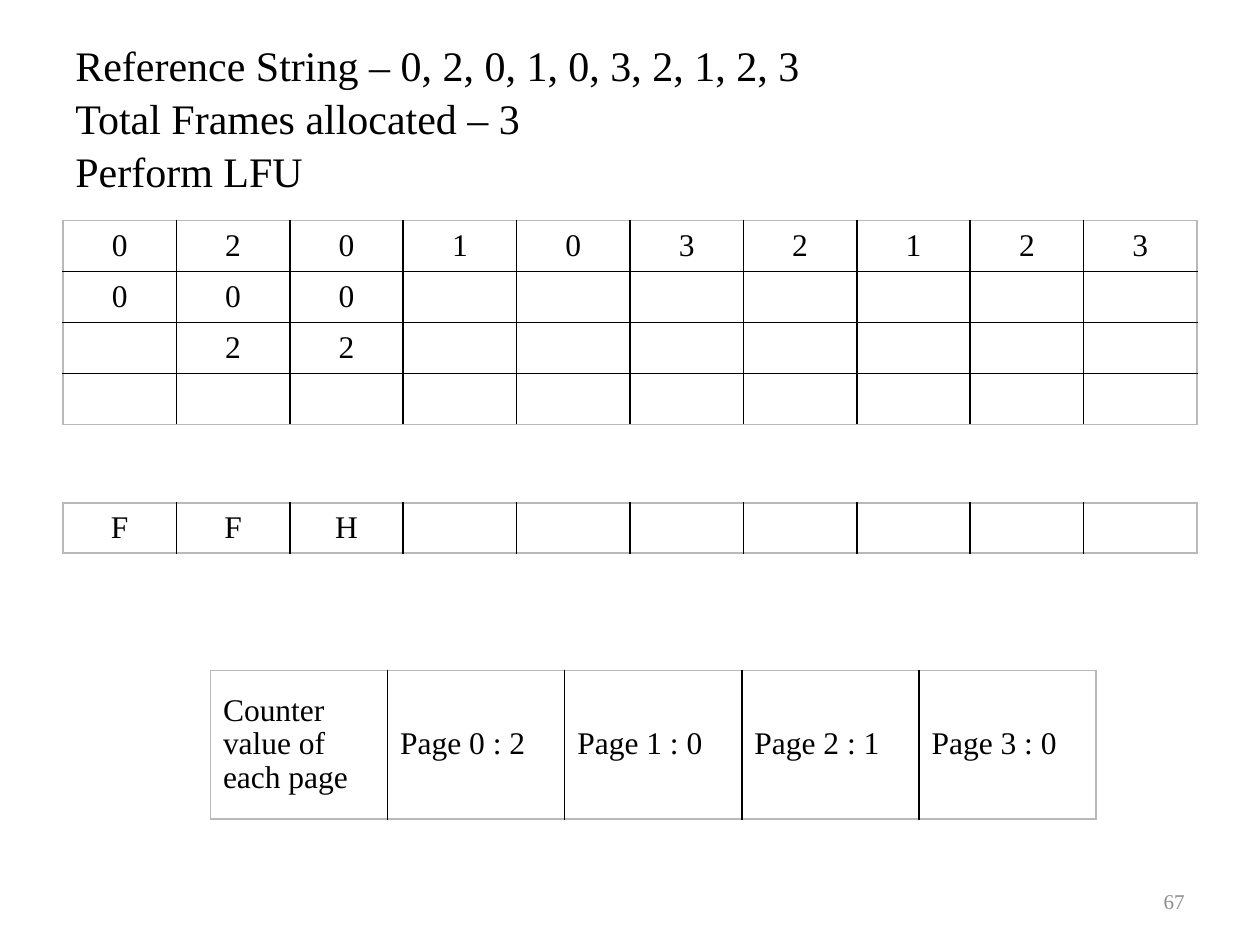
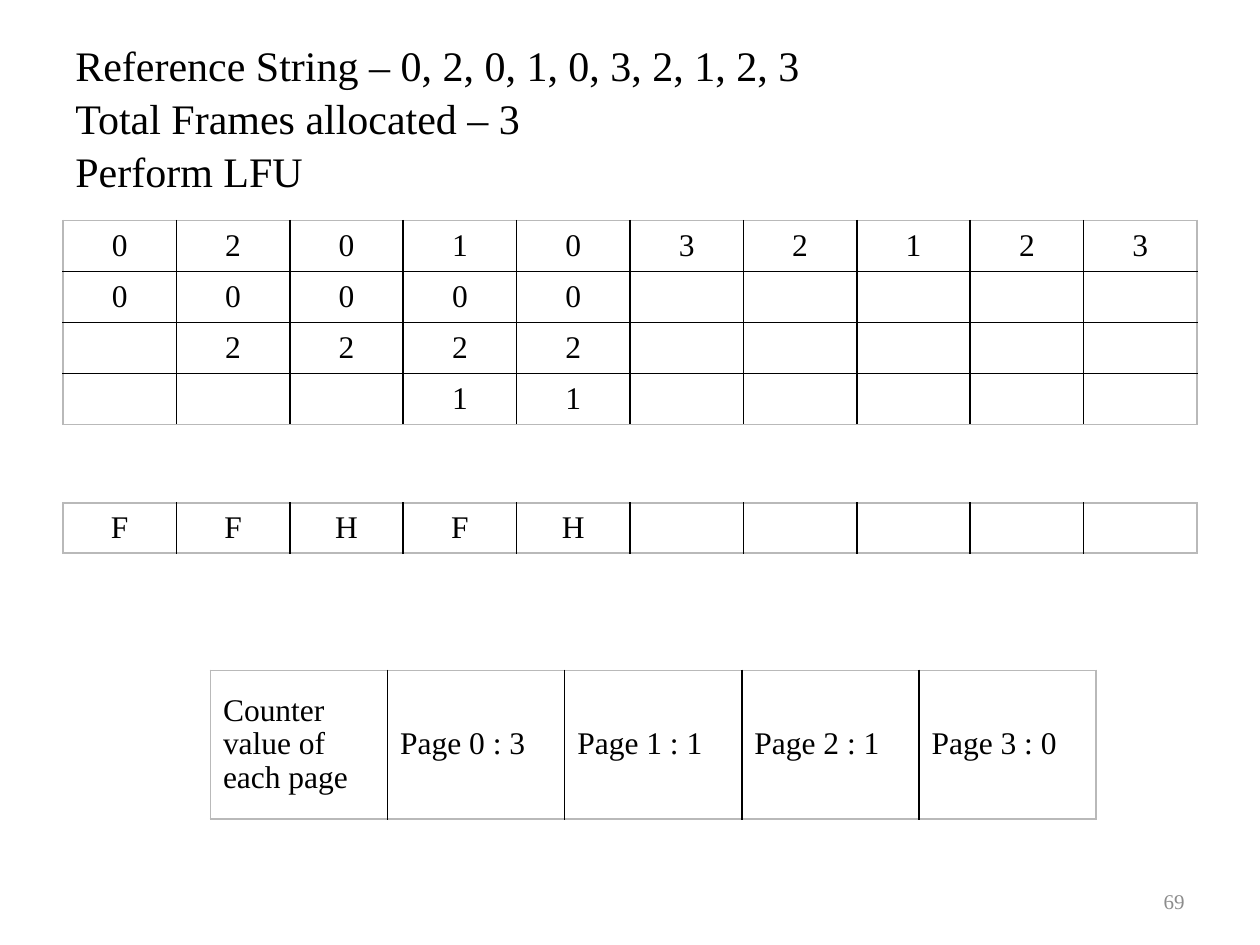
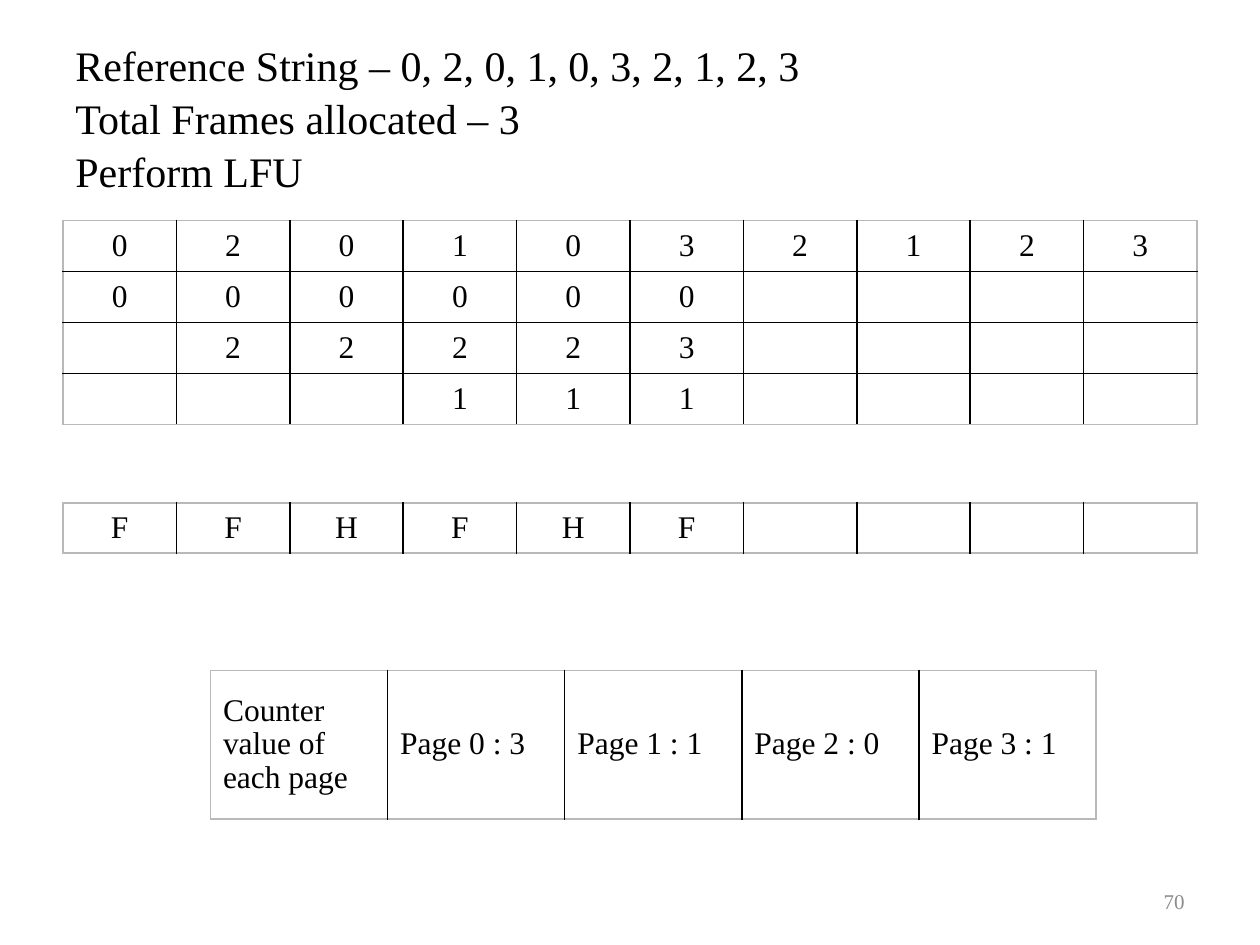
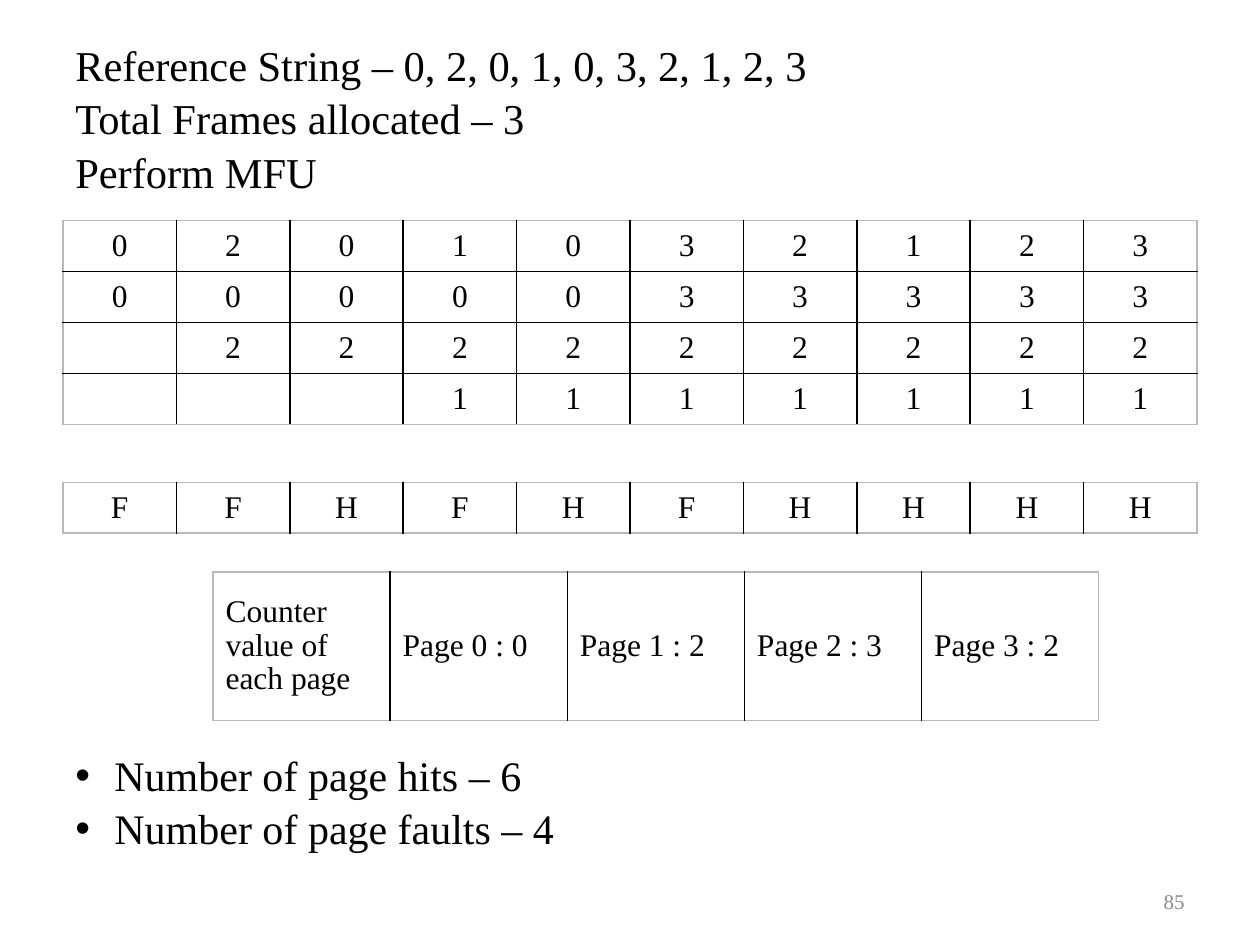
import pptx
import pptx.dml.color
import pptx.enum.text
import pptx.oxml
import pptx.oxml.ns
import pptx.util
from pptx.util import Inches

BLACK = "000000"
GREY = "8C8C8C"
OUTLINE = "B9B9B9"
ALIGN = pptx.enum.text.PP_ALIGN
MIDDLE = pptx.enum.text.MSO_ANCHOR.MIDDLE

REFERENCES = "0201032123"
PAGES = [
    {"number": 67, "method": "LFU", "steps": 3, "counters": "2010"},
    {"number": 69, "method": "LFU", "steps": 5, "counters": "3110"},
    {"number": 70, "method": "LFU", "steps": 6, "counters": "3101"},
    {"number": 85, "method": "MFU", "steps": 10, "counters": "0232", "title_size": 24.3,
     "hits_top": 3.83, "counter_left": 1.69, "counter_top": 4.54,
     "summary": ["Number of page hits – 6", "Number of page faults – 4"]},
]
FRAMES = {
    "LFU": ["000000", " 22223", "   111"],
    "MFU": ["0000033333", " 222222222", "   1111111"],
}
HITS = {"LFU": "FFHFHF", "MFU": "FFHFHFHHHH"}


def write_text(frame, lines, size, color=BLACK, **paragraph_format):
    """Put each line in its own paragraph, all in one style."""
    font_format = {"name": "Times New Roman", "size": pptx.util.Pt(size)}
    frame.word_wrap = True
    for index, line in enumerate(lines):
        para = frame.paragraphs[0] if index == 0 else frame.add_paragraph()
        para.text = line
        for name, value in paragraph_format.items():
            setattr(para, name, value)
        for span in para.runs or [para.add_run()]:
            for name, value in font_format.items():
                setattr(span.font, name, value)
            span.font.color.rgb = pptx.dml.color.RGBColor.from_string(color)


def add_grid(page, rows, left, top, width, height, **paragraph_format):
    """Add an unfilled table with black inner lines and a grey outline."""
    last_row, last_column = len(rows) - 1, len(rows[0]) - 1
    table = page.shapes.add_table(
        len(rows), len(rows[0]),
        Inches(left), Inches(top), Inches(width), Inches(height)).table
    table.first_row = table.horz_banding = False
    for r, row in enumerate(rows):
        for c, value in enumerate(row):
            cell = table.cell(r, c)
            cell.vertical_anchor = MIDDLE
            cell.fill.background()
            write_text(cell.text_frame, [value.strip()], 18, **paragraph_format)
            outer_sides = {"lnL": c == 0, "lnR": c == last_column,
                           "lnT": r == 0, "lnB": r == last_row}
            for position, (side, is_outer) in enumerate(outer_sides.items()):
                color = OUTLINE if is_outer else BLACK
                border = pptx.oxml.parse_xml(
                    f'<a:{side} {pptx.oxml.ns.nsdecls("a")} w="12700"><a:solidFill>'
                    f'<a:srgbClr val="{color}"/></a:solidFill></a:{side}>')
                cell._tc.get_or_add_tcPr().insert(position, border)


deck = pptx.Presentation()
deck.slide_width, deck.slide_height = Inches(10), Inches(7.5)

for content in PAGES:
    page = deck.slides.add_slide(deck.slide_layouts[6])
    method, steps = content["method"], content["steps"]

    title = page.shapes.add_textbox(Inches(0.5), Inches(0.3), Inches(9), Inches(1.25))
    title.text_frame.vertical_anchor = MIDDLE
    heading = "\v".join(["Reference String – " + ", ".join(REFERENCES),
                         "Total Frames allocated – 3", f"Perform {method}"])
    write_text(title.text_frame, [heading], content.get("title_size", 24), line_spacing=1.05)

    frame_rows = [frame[:steps].ljust(len(REFERENCES)) for frame in FRAMES[method]]
    add_grid(page, [REFERENCES] + frame_rows, 0.5, 1.75, 9, 1.62, alignment=ALIGN.CENTER)

    hit_row = HITS[method][:steps].ljust(len(REFERENCES))
    add_grid(page, [hit_row], 0.5, content.get("hits_top", 3.99), 9, 0.4,
             alignment=ALIGN.CENTER)

    counter_row = ["Counter value of each page"]
    counter_row += [f"Page {i} : {count}" for i, count in enumerate(content["counters"])]
    add_grid(page, [counter_row], content.get("counter_left", 1.67),
             content.get("counter_top", 5.32), 7.03, 1.18, line_spacing=0.96)

    if "summary" in content:
        summary = page.shapes.add_textbox(Inches(0.5), Inches(5.88), Inches(8.37), Inches(0.91))
        write_text(summary.text_frame, content["summary"], 24, line_spacing=1.05)
        for para in summary.text_frame.paragraphs:
            properties = para._p.get_or_add_pPr()
            properties.set("marL", str(Inches(0.31)))
            properties.set("indent", str(-Inches(0.31)))
            for bullet in ('buFont {} typeface="Arial"', 'buChar {} char="•"'):
                properties.append(pptx.oxml.parse_xml(
                    f'<a:{bullet.format(pptx.oxml.ns.nsdecls("a"))}/>'))

    footer = page.shapes.add_textbox(Inches(7.17), Inches(6.95), Inches(2.33), Inches(0.4))
    footer.text_frame.vertical_anchor = MIDDLE
    write_text(footer.text_frame, [str(content["number"])], 12, GREY, alignment=ALIGN.RIGHT)

deck.save("out.pptx")
